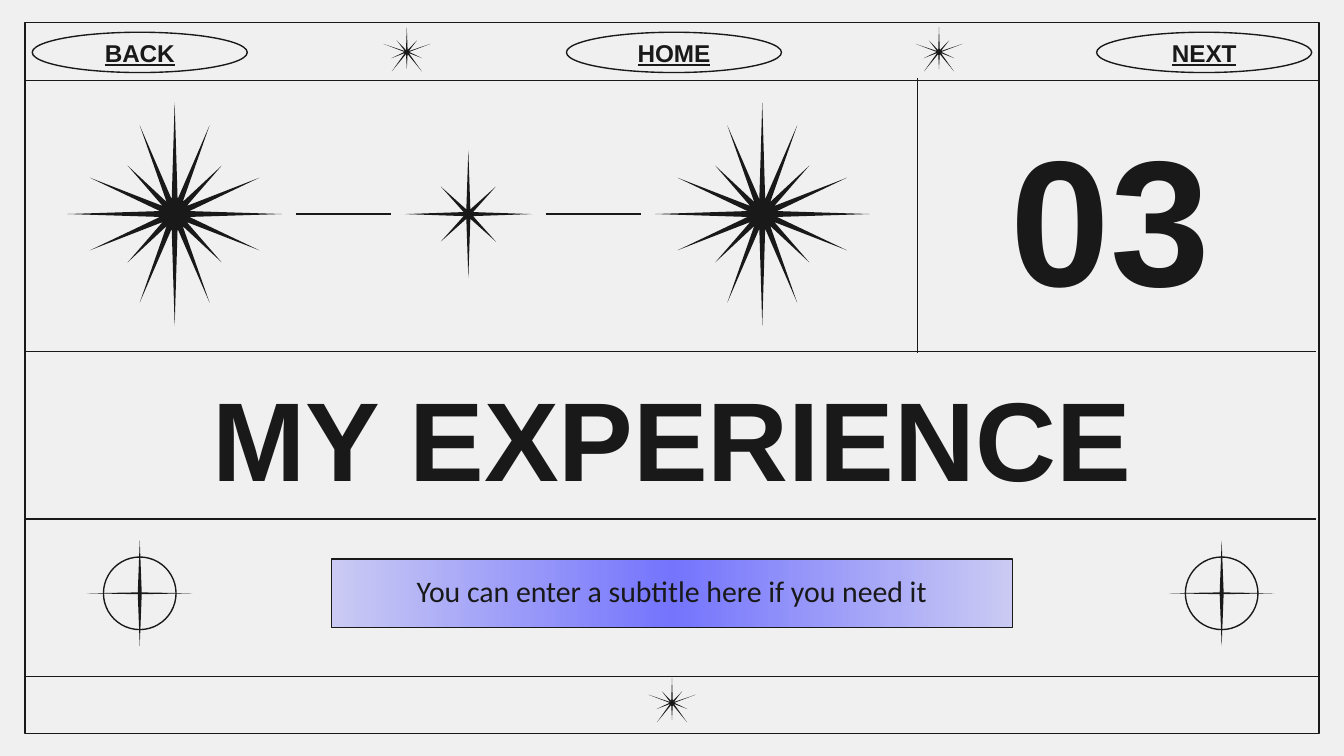
from copy import deepcopy

from lxml import etree
from pptx import Presentation
from pptx.dml.color import RGBColor
from pptx.enum.shapes import MSO_CONNECTOR, MSO_SHAPE
from pptx.enum.text import MSO_ANCHOR, PP_ALIGN
from pptx.oxml.ns import qn
from pptx.util import Inches, Pt

RECT, OVAL = MSO_SHAPE.RECTANGLE, MSO_SHAPE.OVAL
STRAIGHT = MSO_CONNECTOR.STRAIGHT
TOP, MIDDLE = MSO_ANCHOR.TOP, MSO_ANCHOR.MIDDLE
CENTER = PP_ALIGN.CENTER

COLORS = {"paper": "F0F0F0", "ink": "191919", "violet": "7575FF"}
RGB = {name: RGBColor.from_string(value) for name, value in COLORS.items()}

prs = Presentation()
prs.slide_width = Inches(10)
prs.slide_height = prs.slide_width * 9 // 16
s = prs.slides.add_slide(prs.slide_layouts[6])
s.background.fill.solid()
s.background.fill.fore_color.rgb = RGB["paper"]

# Square grid: 100 columns across the slide, rows of the same size
U = prs.slide_width / 100
MID = 50
LEFT, RIGHT = 1.85, 98.15


def grid(*values):
    """Turn grid units into whole EMU."""
    return [round(v * U) for v in values]


def add_star(cx, cy, half):
    """Draw a filled star from its right half, mirrored to the left."""
    outline = half + [(-x, y) for x, y in half[-2:0:-1]]
    points = [grid(cx + x, cy + y) for x, y in outline]
    builder = s.shapes.build_freeform(*points[0])
    builder.add_line_segments(points[1:])
    sp = builder.convert_to_shape()
    sp.shadow.inherit = False
    sp.fill.solid()
    sp.fill.fore_color.rgb = RGB["ink"]
    sp.line.fill.background()


# Outlined shapes: frame, navigation pills, target rings, subtitle bar
PILL_W, PILL_H, PILL_Y = 16, 3, 2.4
RING_XS, RING_Y, RING_R = (10.4, 90.9), 44.15, 2.7
outlined = [(RECT, LEFT, 1.68, RIGHT - LEFT, 52.88, "")]
for label, x in (("BACK", 2.4), ("HOME", 42.15), ("NEXT", 81.6)):
    outlined.append((OVAL, x, PILL_Y, PILL_W, PILL_H, label))
for cx in RING_XS:
    outlined.append((OVAL, cx - RING_R, RING_Y - RING_R, 2 * RING_R, 2 * RING_R, ""))
outlined.append((RECT, 24.65, 41.6, 50.7, 5.1, ""))

texts = []  # shape, text, size, font, bold, underline, anchor
for kind, x, y, w, h, label in outlined:
    sp = s.shapes.add_shape(kind, *grid(x, y, w, h))
    sp.shadow.inherit = False
    sp.fill.background()
    sp.line.color.rgb = RGB["ink"]
    sp.line.width = Pt(0.75)
    if label:
        texts.append((sp, label, 13, "Arial", True, True, MIDDLE))

# Subtitle bar, violet in the middle and fading to both ends
subtitle = sp
subtitle.fill.gradient()
subtitle.fill.gradient_angle = 180
for stop in subtitle.fill.gradient_stops:
    stop.color.rgb = RGB["violet"]
first, last = subtitle._element.spPr.iter(qn("a:gs"))
center = deepcopy(first)
center.set("pos", "50000")
first.addnext(center)
for end in (first, last):
    etree.SubElement(end[0], qn("a:alpha")).set("val", "29000")

# Rules
for x1, y1, x2, y2 in (
    (LEFT, 6, RIGHT, 6),
    (LEFT, 50.33, RIGHT, 50.33),
    (1.95, 26.15, 97.9, 26.15),
    (1.95, 38.62, 97.9, 38.62),
    (68.26, 26.25, 68.26, 5.8),
    (22, 15.93, 29.1, 15.93),
    (40.6, 15.93, 47.7, 15.93),
):
    rule = s.shapes.add_connector(STRAIGHT, *grid(x1, y1, x2, y2))
    rule.line.color.rgb = RGB["ink"]
    rule.line.width = Pt(0.75)
    etree.SubElement(rule._element.spPr, qn("a:effectLst"))

# Stars: quadrants run from the top ray to the right ray, then are flipped down
quadrants = {
    "burst": [(0, -8.3), (0.22, -1.1), (2.6, -6.6), (0.6, -0.9), (3.5, -3.6),
              (0.9, -0.6), (6.3, -2.7), (1.1, -0.22), (8, 0)],
    "spark": [(0, -4.75), (0.15, -0.35), (2.05, -2.05), (0.35, -0.15), (4.75, 0)],
    "upright": [(0, -3.93), (0.15, 0)],
    "level": [(0, -0.07), (3.93, 0)],
}
halves = {name: q + [(x, -y) for x, y in q[-2::-1]] for name, q in quadrants.items()}
halves["twinkle"] = [(0, -1.85), (0.06, -0.14), (0.75, -0.85), (0.14, -0.06), (1.75, -0.6),
                     (0.18, 0), (1.15, 0.47), (0.14, 0.08), (1.12, 1.45), (0.06, 0.16), (0, 1.28)]

stars = [("burst", 13, 15.93), ("spark", 34.85, 15.93), ("burst", 56.72, 15.93)]
stars += [("twinkle", 30.27, 3.87), ("twinkle", 69.87, 3.87), ("twinkle", MID, 52.3)]
stars += [(needle, cx, RING_Y) for cx in RING_XS for needle in ("upright", "level")]
for name, cx, cy in stars:
    add_star(cx, cy, halves[name])

# Text
title = s.shapes.add_textbox(*grid(11.85, 26.5, 76.3, 11.7))
number = s.shapes.add_textbox(*grid(72.3, 8.7, 20.6, 14.5))
texts += [
    (title, "MY EXPERIENCE", 60, "Arial", True, False, TOP),
    (number, "03", 96, "Arial", True, False, MIDDLE),
    (subtitle, "You can enter a subtitle here if you need it", 16, "Calibri", False, False, TOP),
]
for sp, text, size, font, bold, underline, anchor in texts:
    tf = sp.text_frame
    tf.word_wrap = True
    tf.vertical_anchor = anchor
    tf.margin_left, tf.margin_top, tf.margin_right, tf.margin_bottom = grid(1, 1, 1, 1)
    p = tf.paragraphs[0]
    p.text = text
    p.alignment = CENTER
    p.font.name, p.font.size = font, Pt(size)
    p.font.bold, p.font.underline = bold, underline
    p.font.color.rgb = RGB["ink"]

prs.save("out.pptx")
